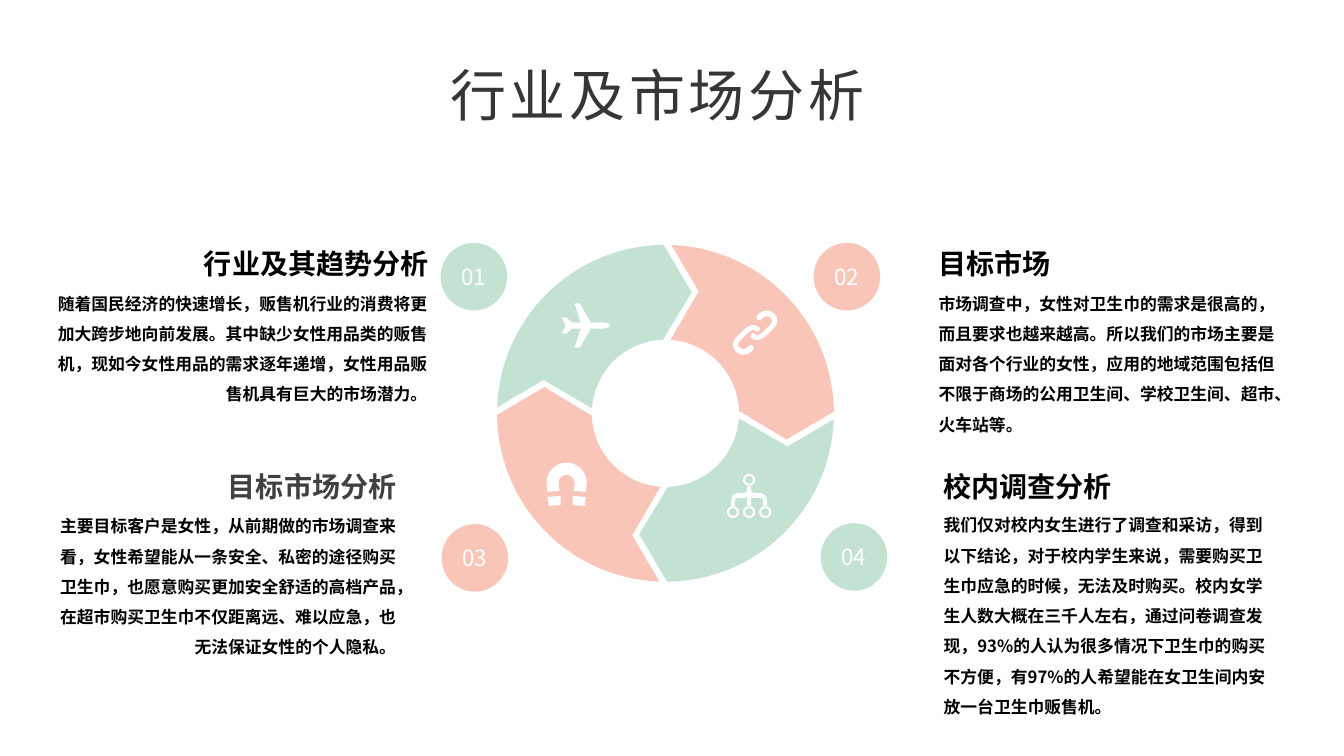
from dataclasses import dataclass
from math import asin, cos, pi, sin, tan
from typing import Callable

from lxml.etree import SubElement
from pptx import Presentation
from pptx.dml.color import RGBColor
from pptx.enum.shapes import MSO_SHAPE
from pptx.enum.text import MSO_ANCHOR, MSO_AUTO_SIZE, PP_ALIGN
from pptx.oxml.ns import qn
from pptx.shapes.autoshape import Shape
from pptx.slide import Slide
from pptx.text.text import TextFrame
from pptx.util import Inches, Pt

Point = tuple[float, float]
Move = tuple[Point, ...]  # one point is a line, three points are a cubic curve
Contour = list[Move]


@dataclass(frozen=True)
class Theme:
    """Colours, font and type sizes of the slide."""
    font: str = "Noto Sans CJK SC"
    green: str = "C3E2D2"
    pink: str = "F9C5B8"
    white: str = "FFFFFF"
    black: str = "000000"
    grey: str = "404040"
    title_color: str = "373536"
    title_size: int = 40
    heading_size: int = 20
    badge_size: int = 16
    body_size: int = 12


@dataclass(frozen=True)
class Topic:
    """A numbered badge with its heading and body text; edges are where text aligns."""
    number: str
    color: str
    badge: Point
    align: PP_ALIGN
    heading: str
    heading_color: str
    heading_edge: Point
    heading_width: float
    body: str
    body_edge: Point
    body_width: float
    body_height: float


THEME = Theme()
LEFT, RIGHT, CENTER = PP_ALIGN.LEFT, PP_ALIGN.RIGHT, PP_ALIGN.CENTER
RING_CENTER: Point = (6.6, 4.1)
OUTER_RADIUS, INNER_RADIUS = 1.67, 0.73
SEGMENT_COLORS = (THEME.green, THEME.pink, THEME.green, THEME.pink)

TOPICS = (
    Topic("01", THEME.green, (4.37, 2.41), RIGHT, "行业及其趋势分析", THEME.black, (4.25, 2.45), 2.6,
          "随着国民经济的快速增长，贩售机行业的消费将更加大跨步地向前发展。其中缺少女性用品类的贩售机，"
          "现如今女性用品的需求逐年递增，女性用品贩售机具有巨大的市场潜力。", (4.24, 2.81), 3.67, 1.21),
    Topic("02", THEME.pink, (8.07, 2.41), LEFT, "目标市场", THEME.black, (9.31, 2.45), 1.99,
          "市场调查中，女性对卫生巾的需求是很高的，而且要求也越来越高。所以我们的市场主要是面对各个行业的女性，"
          "应用的地域范围包括但不限于商场的公用卫生间、学校卫生间、超市、火车站等。", (9.31, 2.81), 3.37, 1.51),
    Topic("03", THEME.pink, (4.38, 5.2), RIGHT, "目标市场分析", THEME.grey, (3.93, 4.66), 1.99,
          "主要目标客户是女性，从前期做的市场调查来看，女性希望能从一条安全、私密的途径购买卫生巾，"
          "也愿意购买更加安全舒适的高档产品，在超市购买卫生巾不仅距离远、难以应急，也无法保证女性的个人隐私。",
          (3.93, 5.02), 3.36, 1.82),
    Topic("04", THEME.green, (8.14, 5.19), LEFT, "校内调查分析", THEME.black, (9.36, 4.66), 1.99,
          "我们仅对校内女生进行了调查和采访，得到以下结论，对于校内学生来说，需要购买卫生巾应急的时候，"
          "无法及时购买。校内女学生人数大概在三千人左右，通过问卷调查发现，93%的人认为很多情况下卫生巾的购买不方便，"
          "有97%的人希望能在女卫生间内安放一台卫生巾贩售机。", (9.36, 5.01), 3.3, 2.12),
)


def trace(*moves: tuple[float, ...]) -> Contour:
    """Contour from lines (two numbers) and cubic curves (six numbers)."""
    return [tuple(zip(move[::2], move[1::2])) for move in moves]


def arc(center: Point, radius: float, start: float, end: float, pieces: int = 1) -> Contour:
    """Circular arc of cubic curves, angles in radians, clockwise on screen."""
    x, y = center
    step = (end - start) / pieces
    reach = 4 / 3 * tan(step / 4)
    moves = [(x + radius * cos(start), y + radius * sin(start))]
    for piece in range(pieces):
        a, b = start + piece * step, start + (piece + 1) * step
        moves.append((x + radius * (cos(a) - reach * sin(a)), y + radius * (sin(a) + reach * cos(a)),
                      x + radius * (cos(b) + reach * sin(b)), y + radius * (sin(b) - reach * cos(b)),
                      x + radius * cos(b), y + radius * sin(b)))
    return trace(*moves)


def transform(contour: Contour, change: Callable[[float, float], Point]) -> Contour:
    """Apply a point mapping to a whole contour."""
    return [tuple(change(*point) for point in move) for move in contour]


def turn(contour: Contour, center: Point, quarters: int) -> Contour:
    """Rotate a contour clockwise by quarter turns."""
    for _ in range(quarters):
        contour = transform(contour, lambda x, y: (center[0] - y + center[1], center[1] + x - center[0]))
    return contour


def reverse(contour: Contour) -> Contour:
    """Run through a contour from its end to its start."""
    points = [point for move in reversed(contour) for point in reversed(move)]
    moves, used = [(points[0],)], 1
    for move in contour[:0:-1]:
        moves.append(tuple(points[used:used + len(move)]))
        used += len(move)
    return moves


def segment() -> Contour:
    """Outline of the upper-left arrow segment of the ring."""
    x, y = RING_CENTER
    outer_gap, inner_gap, head_gap = asin(0.06 / OUTER_RADIUS), asin(0.05 / INNER_RADIUS), 0.01
    return [*trace((x + 0.26, y - 1.2)), *arc(RING_CENTER, OUTER_RADIUS, 1.5 * pi - head_gap, pi + outer_gap),
            *trace((x - 1.21, y - 0.33)),
            *arc(RING_CENTER, INNER_RADIUS, pi + inner_gap, 1.5 * pi - inner_gap / 2)]


def plane_icon() -> list[Contour]:
    """Airplane pointing right."""
    top = trace((6.05, 3.23), (6.05, 3.2, 5.98, 3.2, 5.98, 3.2), (5.86, 3.2), (5.75, 3.01), (5.7, 3.01),
                (5.76, 3.2), (5.67, 3.2), (5.62, 3.15), (5.57, 3.15), (5.61, 3.23))
    bottom = reverse(transform(top, lambda x, y: (x, 6.46 - y)))
    return [top + bottom[1:]]


def link_icon() -> list[Contour]:
    """Two chain links, the second a half turn of the first."""
    link = trace((7.43, 3.43), (7.41, 3.45), (7.39, 3.47, 7.36, 3.47, 7.34, 3.45),
                 (7.33, 3.44, 7.32, 3.43, 7.32, 3.42), (7.32, 3.4, 7.33, 3.39, 7.34, 3.38),
                 (7.42, 3.3), (7.44, 3.29, 7.47, 3.26, 7.49, 3.28), (7.5, 3.3, 7.52, 3.3, 7.53, 3.28),
                 (7.54, 3.27, 7.54, 3.26, 7.53, 3.25), (7.49, 3.21, 7.43, 3.22, 7.38, 3.27),
                 (7.3, 3.35), (7.28, 3.37, 7.27, 3.39, 7.27, 3.42), (7.27, 3.45, 7.28, 3.47, 7.3, 3.49),
                 (7.32, 3.51, 7.35, 3.52, 7.37, 3.52), (7.4, 3.52, 7.43, 3.51, 7.45, 3.49),
                 (7.47, 3.47), (7.48, 3.46, 7.48, 3.44, 7.47, 3.43), (7.46, 3.42, 7.44, 3.42, 7.43, 3.43))
    return [link, turn(link, (7.49, 3.3), 2)]


def tree_icon() -> list[Contour]:
    """Root node joined to three child nodes."""
    axis = 7.43
    half = trace((7.45, 4.81), (7.45, 4.87), (7.45, 4.88, 7.46, 4.89, 7.49, 4.89), (7.53, 4.89),
                 (7.59, 4.89, 7.61, 4.94, 7.61, 4.97), (7.61, 5.03), (7.57, 5.03), (7.57, 4.97),
                 (7.57, 4.97, 7.57, 4.94, 7.53, 4.94), (7.49, 4.94), (7.47, 4.94, 7.46, 4.94, 7.45, 4.93),
                 (7.45, 5.03))
    nodes = [(axis, 4.76), *((axis + offset, 5.08) for offset in (-0.16, 0, 0.16))]
    rings = [arc(node, radius, 0, 2 * pi, 4) for node in nodes for radius in (0.06, 0.04)]
    return [half + reverse(transform(half, lambda x, y: (2 * axis - x, y))), *rings]


def magnet_icon() -> list[Contour]:
    """Horseshoe magnet with two separate tips."""
    x, y = center = (5.62, 4.79)
    horseshoe = [*arc(center, 0.2, pi, 2 * pi, 2), *trace((5.81, 4.88), (5.69, 4.87)),
                 *arc(center, 0.08, 2 * pi, pi, 2), *trace((5.55, 4.87), (5.43, 4.88))]
    tip = trace((5.68, 4.92), (5.81, 4.93), (5.8, 5.01), (5.79, 5.02), (5.68, 5.01))
    return [horseshoe, tip, transform(tip, lambda px, py: (2 * x - px, py))]


def paint(shape: Shape, color: str) -> None:
    """Give a shape a flat fill without line or shadow."""
    shape.shadow.inherit = False
    shape.fill.solid()
    shape.fill.fore_color.rgb = RGBColor.from_string(color)
    shape.line.fill.background()


def draw_outline(slide: Slide, contours: list[Contour], color: str) -> None:
    """Draw closed contours as one freeform, joining point triples into curves."""
    builder = slide.shapes.build_freeform(*map(Inches, contours[0][0][0]))
    for index, contour in enumerate(contours):
        points = [(Inches(x), Inches(y)) for move in contour for x, y in move]
        if index:
            builder.move_to(*points[0])
        builder.add_line_segments(points[1:], close=True)
    shape = builder.convert_to_shape()
    lines = iter(list(shape._element.iter(qn("a:lnTo"))))
    for move in (move for contour in contours for move in contour[1:]):
        first, *others = [next(lines) for _ in move]
        if others:
            first.tag = qn("a:cubicBezTo")
        for other in others:
            first.append(other[0])
            other.getparent().remove(other)
    paint(shape, color)


def write(frame: TextFrame, text: str, size: int, color: str, align: PP_ALIGN, bold: bool = False,
          line_spacing: float = 1.0, tracking: int = 0, margin: float = 0) -> None:
    """Fill a text frame with one styled paragraph."""
    frame.word_wrap = True
    frame.margin_left = frame.margin_right = Inches(margin)
    frame.margin_top = frame.margin_bottom = Inches(margin / 2)
    paragraph = frame.paragraphs[0]
    paragraph.text, paragraph.alignment, paragraph.line_spacing = text, align, line_spacing
    font = paragraph.font
    font.name, font.size, font.bold = THEME.font, Pt(size), bold
    font.color.rgb = RGBColor.from_string(color)
    properties = paragraph._p.get_or_add_pPr().get_or_add_defRPr()
    SubElement(properties, qn("a:ea")).set("typeface", THEME.font)
    if tracking:
        properties.set("spc", str(tracking))


def add_text(slide: Slide, left: float, top: float, width: float, height: float) -> TextFrame:
    """Add a text box that grows with its text."""
    frame = slide.shapes.add_textbox(Inches(left), Inches(top), Inches(width), Inches(height)).text_frame
    frame.auto_size = MSO_AUTO_SIZE.SHAPE_TO_FIT_TEXT
    return frame


def add_shape(slide: Slide, kind: MSO_SHAPE, left: float, top: float, width: float, height: float,
              color: str) -> Shape:
    """Add a flat preset shape."""
    shape = slide.shapes.add_shape(kind, Inches(left), Inches(top), Inches(width), Inches(height))
    paint(shape, color)
    return shape


def draw_topic(slide: Slide, topic: Topic) -> None:
    """Draw a badge, its heading and its body text."""
    badge = add_shape(slide, MSO_SHAPE.OVAL, *topic.badge, 0.66, 0.67, topic.color)
    write(badge.text_frame, topic.number, THEME.badge_size, THEME.white, CENTER)
    badge.text_frame.vertical_anchor = MSO_ANCHOR.MIDDLE
    for text, (edge, top), width, height, size, color, spacing in (
            (topic.heading, topic.heading_edge, topic.heading_width, 0.34,
             THEME.heading_size, topic.heading_color, 1.0),
            (topic.body, topic.body_edge, topic.body_width, topic.body_height,
             THEME.body_size, THEME.black, 1.5)):
        left = edge - width if topic.align == RIGHT else edge
        write(add_text(slide, left, top, width, height), text, size, color, topic.align, True, spacing)


def main() -> None:
    """Build and save the slide."""
    presentation = Presentation()
    presentation.slide_width, presentation.slide_height = Inches(13.33), Inches(7.5)
    slide = presentation.slides.add_slide(presentation.slide_layouts[6])
    panel = add_shape(slide, MSO_SHAPE.RECTANGLE, 0.32, 0.3, 12.67, 6.96, THEME.white)
    panel.line.color.rgb = RGBColor.from_string(THEME.white)
    panel.line.width = Pt(1)
    icons = (plane_icon(), link_icon(), tree_icon(), magnet_icon())
    for quarter, (color, icon) in enumerate(zip(SEGMENT_COLORS, icons)):
        draw_outline(slide, [turn(segment(), RING_CENTER, quarter)], color)
        draw_outline(slide, icon, THEME.white)
    for topic in TOPICS:
        draw_topic(slide, topic)
    write(add_text(slide, 3.11, 0.55, 6.82, 0.77), "行业及市场分析", THEME.title_size, THEME.title_color,
          CENTER, tracking=270, margin=0.1)
    presentation.save("out.pptx")


main()
